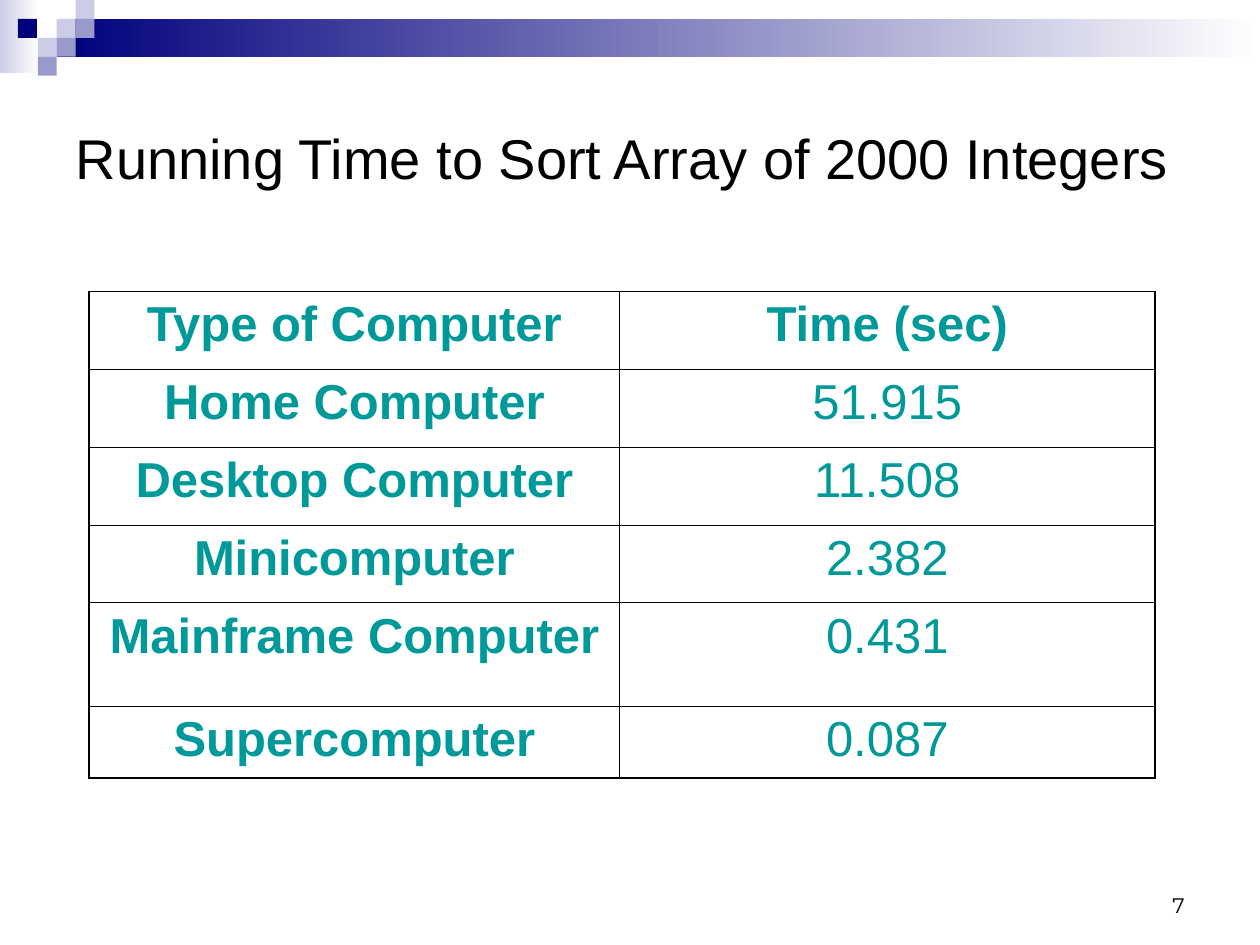
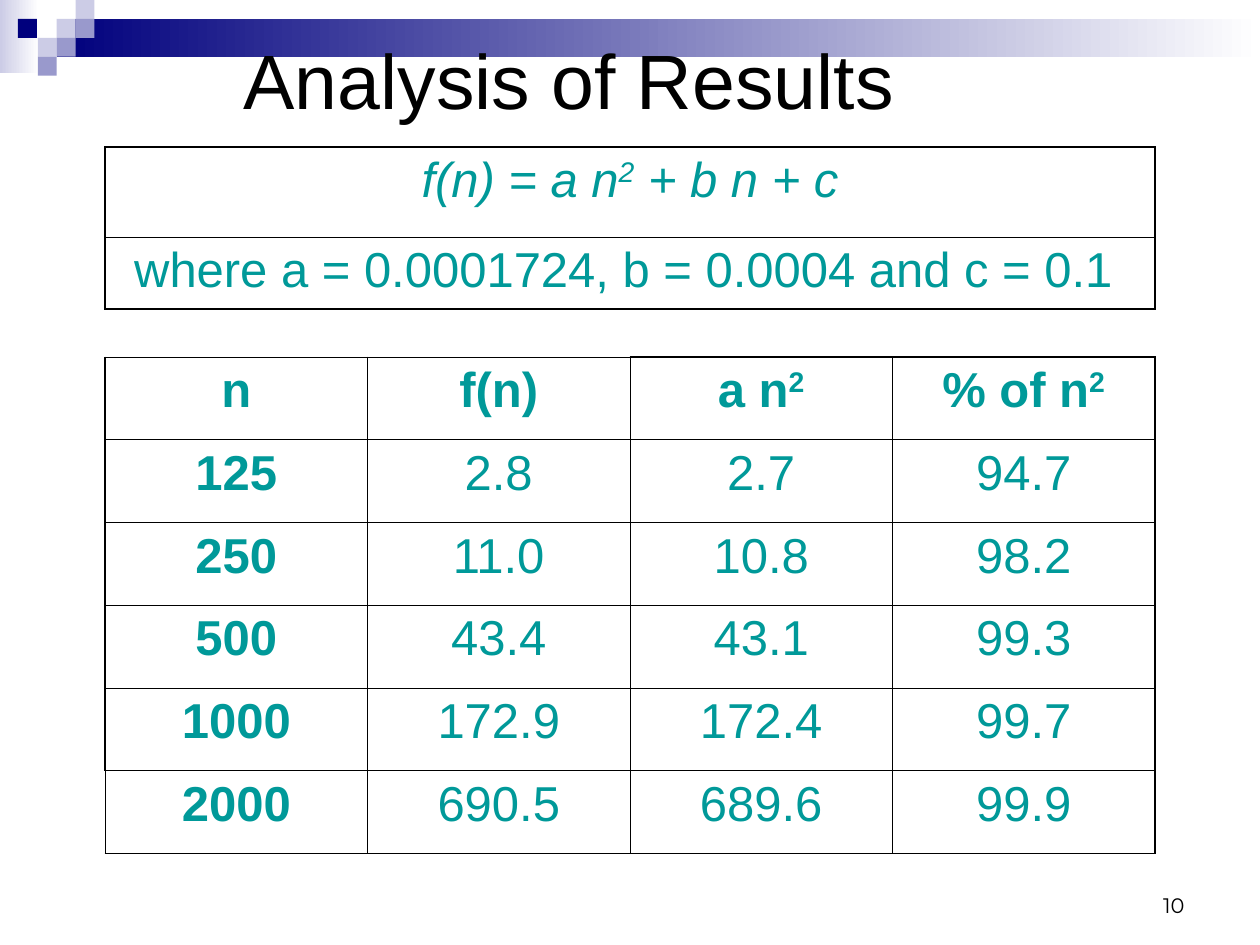
"""Build two slides on sorting times: measured results and their quadratic analysis."""
import dataclasses

import lxml.etree
import pptx
import pptx.dml.color
import pptx.enum.shapes
import pptx.enum.text
import pptx.oxml.ns
import pptx.util

Pt = pptx.util.Pt
Color = pptx.dml.color.RGBColor.from_string


@dataclasses.dataclass(frozen=True)
class Theme:
    navy: str = "00007D"
    lavender: str = "9999CC"
    pale: str = "CCCCE6"
    white: str = "FFFFFF"
    black: str = "000000"
    teal: str = "009999"
    font: str = "Arial"
    number_font: str = "Montserrat"
    table_size: int = 28
    number_size: int = 12
    outer_line: float = 1.08
    inner_line: float = 0.45


theme = Theme()


def add_runs(paragraph, text, font, size, color, bold=False, italic=False):
    """Add text run by run; parts between carets are superscript."""
    for index, part in enumerate(text.split("^")):
        if not part:
            continue
        run = paragraph.add_run()
        run.text = part
        run.font.name = font
        run.font.size = Pt(size)
        run.font.color.rgb = Color(color)
        run.font.bold = bold
        run.font.italic = italic
        if index % 2:
            run._r.get_or_add_rPr().set("baseline", "30000")


def add_grid(slide, left, top, widths, heights, rows, bold_header=True, thin_edges=()):
    """Add a table with a heavier outline, except at the edges named as thin."""
    table = slide.shapes.add_table(len(heights), len(widths), Pt(left), Pt(top),
                                   Pt(sum(widths)), Pt(sum(heights))).table
    table.first_row = table.horz_banding = False
    for column, width in zip(table.columns, widths):
        column.width = Pt(width)
    for row, height in zip(table.rows, heights):
        row.height = Pt(height)
    for r, texts in enumerate(rows):
        for c, text in enumerate(texts):
            cell = table.cell(r, c)
            outer = {"L": c == 0, "R": c == len(widths) - 1,
                     "T": r == 0, "B": r == len(heights) - 1}
            properties = cell._tc.get_or_add_tcPr()
            for side, is_outer in outer.items():
                heavy = is_outer and (r, c, side) not in thin_edges
                width = Pt(theme.outer_line if heavy else theme.inner_line)
                line = lxml.etree.SubElement(properties, pptx.oxml.ns.qn(f"a:ln{side}"), w=str(width))
                fill = lxml.etree.SubElement(line, pptx.oxml.ns.qn("a:solidFill"))
                lxml.etree.SubElement(fill, pptx.oxml.ns.qn("a:srgbClr"), val=theme.black)
            cell.fill.background()
            paragraph = cell.text_frame.paragraphs[0]
            paragraph.alignment = pptx.enum.text.PP_ALIGN.CENTER
            paragraph.space_before = Pt(7)
            add_runs(paragraph, text, theme.font, theme.table_size, theme.teal,
                     bold=bold_header and (r == 0 or c == 0),
                     italic=not bold_header and r == 0)


presentation = pptx.Presentation()
presentation.slide_width = Pt(720)
presentation.slide_height = Pt(540)
layout = presentation.slide_layouts[5]
for placeholder in list(layout.placeholders)[1:]:
    placeholder.element.getparent().remove(placeholder.element)

pages = [
    ("Running Time to Sort Array of 2000 Integers", 32, (36, 36, 648, 108), "7"),
    ("Analysis of Results", 44, (132, 12, 480, 66), "10"),
]
slides = [presentation.slides.add_slide(layout) for page in pages]

unit = 10.8
squares = [(3, 1, theme.pale), (4, 0, theme.pale), (4, 1, theme.lavender),
           (2, 2, theme.pale), (0.95, 1, theme.navy), (3, 2, theme.lavender),
           (2, 3, theme.lavender)]
band_parts = [(0, 0, 22.2, 41.8, (theme.pale, theme.white)),
              (3 * unit, unit, 720 - 3 * unit, 2 * unit, (theme.navy, theme.white))]
band_parts += [(column * unit, row * unit, unit, unit, (color,))
               for column, row, color in squares]
band = slides[0].shapes.add_group_shape()
for left, top, width, height, colors in band_parts:
    shape = band.shapes.add_shape(pptx.enum.shapes.MSO_SHAPE.RECTANGLE,
                                  Pt(left), Pt(top), Pt(width), Pt(height))
    shape.shadow.inherit = False
    shape.line.fill.background()
    if len(colors) == 1:
        shape.fill.solid()
        shape.fill.fore_color.rgb = Color(colors[0])
    else:
        shape.fill.gradient()
        shape.fill.gradient_angle = 0
        for stop, color in zip(shape.fill.gradient_stops, colors):
            stop.color.rgb = Color(color)
layout.shapes.element.insert(2, band.element)

for slide, (title_text, title_size, (left, top, width, height), number) in zip(slides, pages):
    title = slide.shapes.title
    title.left, title.top, title.width, title.height = Pt(left), Pt(top), Pt(width), Pt(height)
    title.text_frame.auto_size = pptx.enum.text.MSO_AUTO_SIZE.NONE
    title.text_frame.vertical_anchor = pptx.enum.text.MSO_ANCHOR.MIDDLE
    paragraph = title.text_frame.paragraphs[0]
    paragraph.alignment = pptx.enum.text.PP_ALIGN.LEFT
    add_runs(paragraph, title_text, theme.font, title_size, theme.black)

    number_box = slide.shapes.add_textbox(Pt(516), Pt(492), Pt(168), Pt(36))
    number_box.text_frame.word_wrap = True
    number_box.text_frame.vertical_anchor = pptx.enum.text.MSO_ANCHOR.BOTTOM
    paragraph = number_box.text_frame.paragraphs[0]
    paragraph.alignment = pptx.enum.text.PP_ALIGN.RIGHT
    add_runs(paragraph, number, theme.number_font, theme.number_size, theme.black)

timing_slide, analysis_slide = slides
add_grid(timing_slide, 51, 166.5, [303, 306], [44.5, 44.5, 44.5, 44.5, 59, 41], [
    ("Type of Computer", "Time (sec)"),
    ("Home Computer", "51.915"),
    ("Desktop Computer", "11.508"),
    ("Minicomputer", "2.382"),
    ("Mainframe Computer", "0.431"),
    ("Supercomputer", "0.087"),
])
add_grid(analysis_slide, 60, 84, [600], [51.6, 41], [
    ("f(n) = a n^2^ + b n + c",),
    ("where a = 0.0001724, b = 0.0004 and c = 0.1 ",),
], bold_header=False)
add_grid(analysis_slide, 60, 204, [150] * 4, [47.3] * 6, [
    ("n", "f(n)", "a n^2^", "% of n^2^"),
    ("125", "2.8", "2.7", "94.7"),
    ("250", "11.0", "10.8", "98.2"),
    ("500", "43.4", "43.1", "99.3"),
    ("1000", "172.9", "172.4", "99.7"),
    ("2000", "690.5", "689.6", "99.9"),
], thin_edges={(0, 0, "T"), (0, 1, "T"), (5, 0, "L")})

presentation.save("out.pptx")
